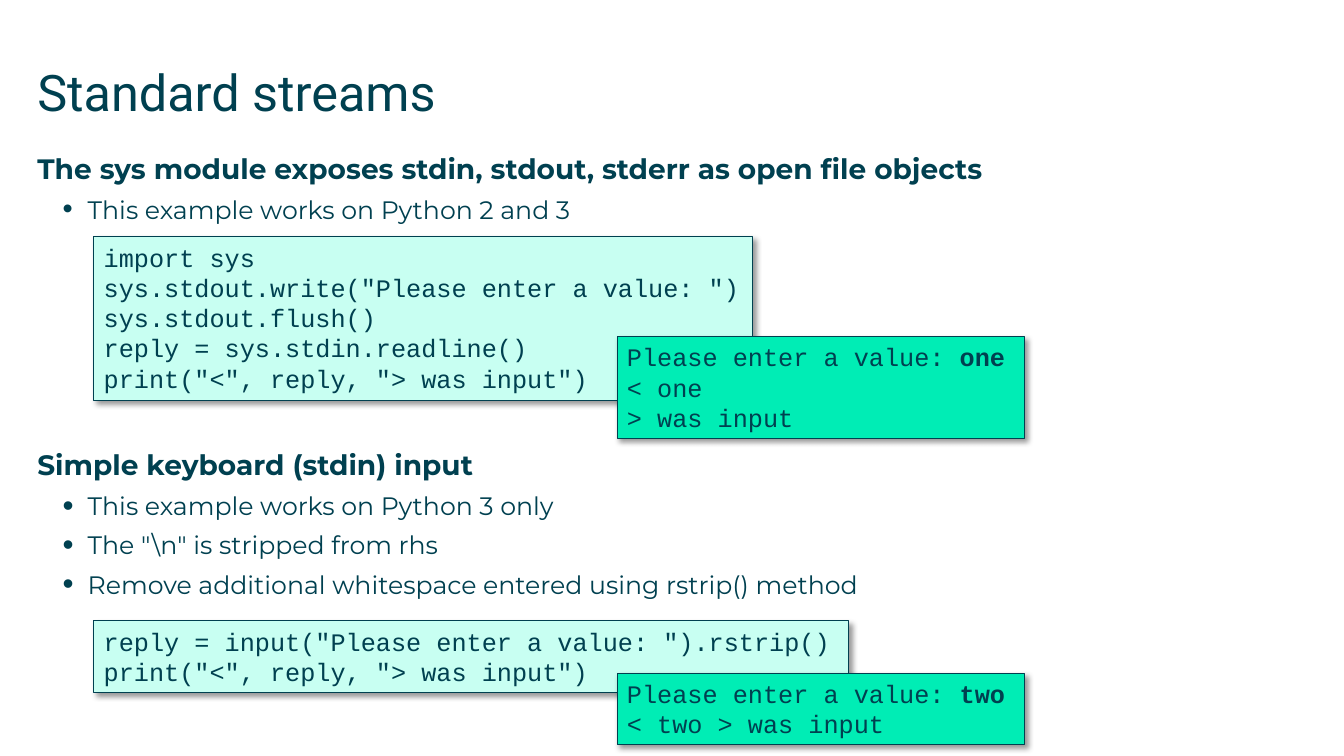
from lxml import etree
from pptx import Presentation
from pptx.dml.color import RGBColor
from pptx.enum.shapes import MSO_SHAPE
from pptx.enum.text import MSO_ANCHOR, MSO_AUTO_SIZE, PP_ALIGN
from pptx.oxml import parse_xml
from pptx.oxml.ns import nsdecls, qn
from pptx.util import Inches, Pt

RECT = MSO_SHAPE.RECTANGLE
TOP = MSO_ANCHOR.TOP
LEFT = PP_ALIGN.LEFT
NO_FIT = MSO_AUTO_SIZE.NONE
GROW = MSO_AUTO_SIZE.SHAPE_TO_FIT_TEXT

INK = "004050"
CODE_FILL = "C8FFF2"
OUTPUT_FILL = "00EDB5"
MARGIN = 0.37
CODE_LEFT = 0.93
OUTPUT_LEFT = 6.12
OUTPUT_WIDTH = 4.04

SHADOW = (
    f'<a:effectLst {nsdecls("a")}>'
    '<a:outerShdw blurRad="50800" dist="38100" dir="2700000" algn="tl" rotWithShape="0">'
    '<a:srgbClr val="000000"><a:alpha val="40000"/></a:srgbClr>'
    '</a:outerShdw></a:effectLst>'
)


def rgb(color):
    """Return the colour for a hex string."""
    return RGBColor.from_string(color)


def add_run(p, text, size, font, bold=False):
    """Append one formatted run to a paragraph."""
    r = p.add_run()
    r.text = text
    r.font.size = Pt(size)
    r.font.name = font
    r.font.bold = bold
    r.font.color.rgb = rgb(INK)


def clear_insets(tf):
    """Remove the insets of a text frame and anchor it at the top."""
    tf.margin_left = tf.margin_right = tf.margin_top = tf.margin_bottom = 0
    tf.vertical_anchor = TOP
    tf.word_wrap = True
    tf.auto_size = NO_FIT


def set_bullet(p, percent):
    """Give a paragraph a hanging round bullet."""
    pPr = p._p.get_or_add_pPr()
    pPr.set("marL", str(Inches(0.5)))
    pPr.set("indent", str(Inches(-0.25)))
    etree.SubElement(pPr, qn("a:buSzPct")).set("val", str(percent * 1000))
    etree.SubElement(pPr, qn("a:buFont")).set("typeface", "Arial")
    etree.SubElement(pPr, qn("a:buChar")).set("char", "•")


def add_title(slide, text, x, y, w, h):
    """Place and fill the title placeholder."""
    title = slide.shapes.title
    title.left, title.top = Inches(x), Inches(y)
    title.width, title.height = Inches(w), Inches(h)
    tf = title.text_frame
    clear_insets(tf)
    p = tf.paragraphs[0]
    p.alignment = LEFT
    add_run(p, text, 36, "Roboto")


def add_section(slide, heading, bullets, percent, x, y, w, h):
    """Add a bold heading with its bullets."""
    s = slide.shapes.add_textbox(Inches(x), Inches(y), Inches(w), Inches(h))
    tf = s.text_frame
    clear_insets(tf)
    p = tf.paragraphs[0]
    p.space_after = Pt(6.5)
    add_run(p, heading, 20, "Montserrat", True)
    for text in bullets:
        p = tf.add_paragraph()
        p.space_after = Pt(6.5)
        set_bullet(p, percent)
        add_run(p, text, 18, "Montserrat")


def add_listing(slide, lines, fill, x, y, w, h):
    """Add a shadowed box of code; each line is a list of text and bold pairs."""
    s = slide.shapes.add_shape(RECT, Inches(x), Inches(y), Inches(w), Inches(h))
    s.fill.solid()
    s.fill.fore_color.rgb = rgb(fill)
    s.line.color.rgb = rgb(INK)
    s.line.width = Pt(0.75)
    s._element.spPr.append(parse_xml(SHADOW))
    tf = s.text_frame
    tf.word_wrap = False
    tf.auto_size = GROW
    tf.vertical_anchor = TOP
    for i, line in enumerate(lines):
        p = tf.add_paragraph() if i else tf.paragraphs[0]
        p.alignment = LEFT
        for text, bold in line:
            add_run(p, text, 18, "Courier New", bold)


def add_code(slide, code, x, y, w, h):
    """Add a listing of source code."""
    lines = [[(line, False)] for line in code]
    add_listing(slide, lines, CODE_FILL, x, y, w, h)


def add_output(slide, typed, printed, x, y, w, h):
    """Add a console session with the typed reply in bold."""
    lines = [[("Please enter a value: ", False), (typed, True)]]
    lines += [[(line, False)] for line in printed]
    add_listing(slide, lines, OUTPUT_FILL, x, y, w, h)


def build_streams_slide(prs):
    """Build the slide on standard streams."""
    slide = prs.slides.add_slide(prs.slide_layouts[5])
    add_title(slide, "Standard streams", MARGIN, 0.61, 12.6, 0.88)
    add_section(
        slide,
        "The sys module exposes stdin, stdout, stderr as open file objects",
        ["This example works on Python 2 and 3"],
        115, MARGIN, 1.5, 12.81, 0.8,
    )
    add_section(
        slide,
        "Simple keyboard (stdin) input",
        [
            "This example works on Python 3 only",
            'The "\\n" is stripped from rhs',
            "Remove additional whitespace entered using rstrip() method",
        ],
        125, MARGIN, 4.44, 12.81, 1.6,
    )
    print_reply = 'print("<", reply, "> was input")'
    add_code(
        slide,
        ['reply = input("Please enter a value: ").rstrip()', print_reply],
        CODE_LEFT, 6.16, 7.49, 0.71,
    )
    add_code(
        slide,
        [
            "import sys",
            'sys.stdout.write("Please enter a value: ")',
            "sys.stdout.flush()",
            "reply = sys.stdin.readline()",
            print_reply,
        ],
        CODE_LEFT, 2.35, 6.53, 1.62,
    )
    add_output(slide, "one", ["< one", "> was input"], OUTPUT_LEFT, 3.34, OUTPUT_WIDTH, 1.01)
    add_output(slide, "two", ["< two > was input"], OUTPUT_LEFT, 6.68, OUTPUT_WIDTH, 0.71)


def main():
    """Create and save the presentation."""
    prs = Presentation()
    prs.slide_width, prs.slide_height = Inches(13.33), Inches(7.5)
    build_streams_slide(prs)
    prs.save("out.pptx")


if __name__ == "__main__":
    main()
